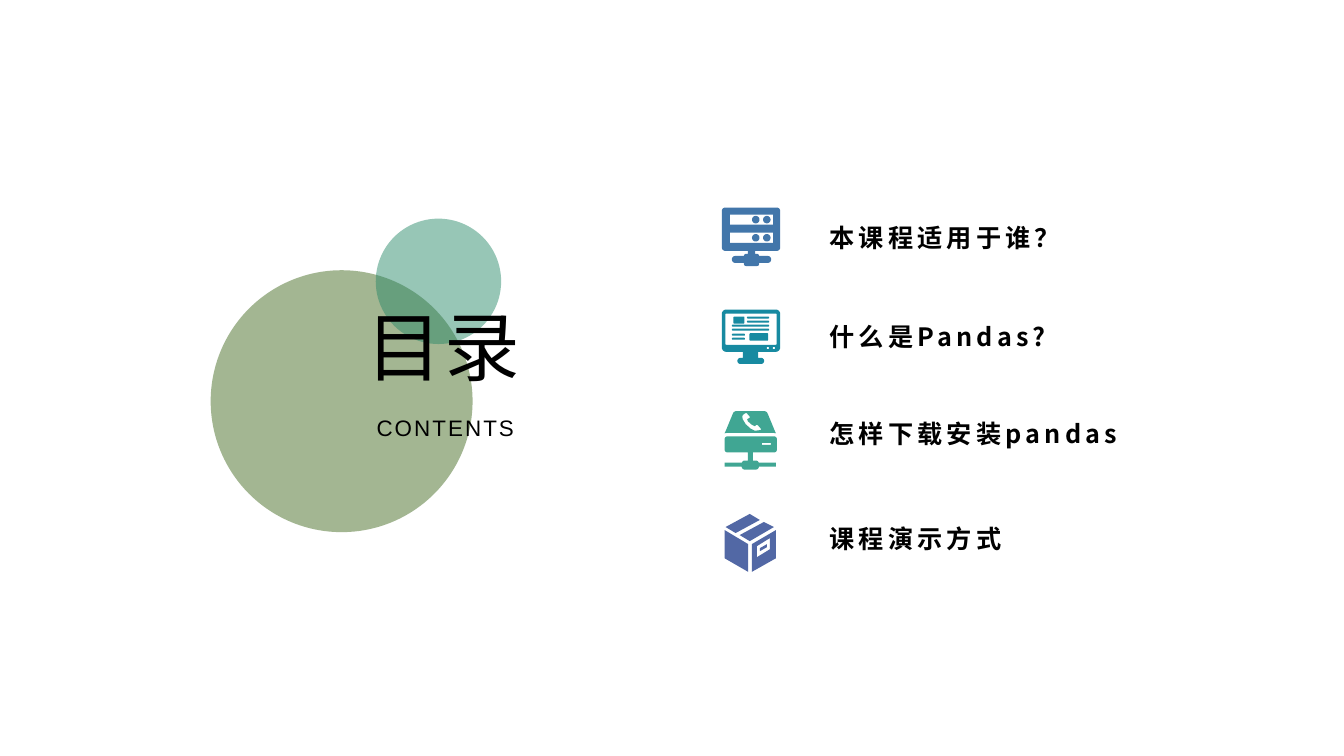
from math import cos, radians, sin

from lxml import etree
from pptx import Presentation
from pptx.dml.color import RGBColor
from pptx.enum.shapes import MSO_SHAPE
from pptx.enum.text import MSO_ANCHOR, MSO_AUTO_SIZE, PP_ALIGN
from pptx.oxml.ns import qn
from pptx.util import Cm, Pt

OVAL = MSO_SHAPE.OVAL
TOP, BOTTOM = MSO_ANCHOR.TOP, MSO_ANCHOR.BOTTOM
LEFT, CENTER = PP_ALIGN.LEFT, PP_ALIGN.CENTER
NO_FIT = MSO_AUTO_SIZE.NONE
BODY_FONT = "Noto Sans CJK SC"
UNIT = Cm(0.0254)


def write(box, text, font, size, spacing, bold, align, anchor):
    frame = box.text_frame
    frame.word_wrap = True
    frame.auto_size = NO_FIT
    frame.vertical_anchor = anchor
    para = frame.paragraphs[0]
    para.alignment = align
    span = para.add_run()
    span.text = text
    span.font.name = font
    span.font.size = Pt(size)
    span.font.bold = bold
    span.font.color.rgb = RGBColor.from_string("000000")
    properties = span._r.get_or_add_rPr()
    properties.set("spc", str(spacing))
    etree.SubElement(properties, qn("a:ea")).set("typeface", font)
    return para


def rounded(left, top, right, bottom, left_radius=0, right_radius=None):
    if right_radius is None:
        right_radius = left_radius
    corners = [
        (right - right_radius, bottom - right_radius, right_radius, 0),
        (left + left_radius, bottom - left_radius, left_radius, 90),
        (left + left_radius, top + left_radius, left_radius, 180),
        (right - right_radius, top + right_radius, right_radius, 270),
    ]
    return [
        (x + radius * cos(radians(start + turn)), y + radius * sin(radians(start + turn)))
        for x, y, radius, start in corners
        for turn in (range(0, 91, 15) if radius else [0])
    ]


deck = Presentation()
deck.slide_width, deck.slide_height = Cm(33.87), Cm(19.05)
page = deck.slides.add_slide(deck.slide_layouts[5])

title = page.shapes.title
title.left, title.top, title.width, title.height = Cm(8.51), Cm(7.44), Cm(5.31), Cm(2.57)
write(title, "目录", "Arial", 54, 150, False, CENTER, TOP)

circles = [(5.31, 6.81, 6.6, "50742F", 52), (9.47, 5.51, 3.16, "268868", 48)]
for left, top, size, color, opacity in circles:
    circle = page.shapes.add_shape(OVAL, Cm(left), Cm(top), Cm(size), Cm(size))
    circle.shadow.inherit = False
    circle.line.fill.background()
    circle.fill.solid()
    circle.fill.fore_color.rgb = RGBColor.from_string(color)
    shade = circle.element.spPr.find(".//" + qn("a:srgbClr"))
    etree.SubElement(shade, qn("a:alpha")).set("val", str(opacity * 1000))
    title.element.addprevious(circle.element)

subtitle = page.shapes.add_textbox(Cm(8.48), Cm(10.31), Cm(5.49), Cm(0.94))
write(subtitle, "CONTENTS", "Arial", 16, 150, False, CENTER, TOP)

topics = [
    (5.23, "本课程适用于谁？"),
    (7.72, "什么是Pandas?"),
    (10.16, "怎样下载安装pandas"),
    (12.8, "课程演示方式"),
]
for top, text in topics:
    label = page.shapes.add_textbox(Cm(20.65), Cm(top), Cm(8.2), Cm(1.14))
    label.text_frame.margin_bottom = 0
    para = write(label, text, BODY_FONT, 18, 300, True, LEFT, BOTTOM)
    para.line_spacing = 1.2

server = [
    rounded(0, 0, 58, 43, 3.5),
    rounded(26, 43, 33, 46),
    rounded(22, 46, 37, 58, 2),
    rounded(10, 48, 22, 55, 3.5, 0),
    rounded(37, 48, 49, 55, 0, 3.5),
]
for bay_top in (7, 25):
    server.append(rounded(8, bay_top, 51, bay_top + 10))
    for lamp_left in (30, 41):
        server.append(rounded(lamp_left, bay_top + 1.3, lamp_left + 7.4, bay_top + 8.7, 3.7))

monitor = [
    rounded(0, 0, 58, 42, 4.5),
    rounded(3.5, 4, 54.5, 35, 1),
    rounded(21, 42, 36, 48),
    rounded(15.5, 48, 42, 54, 3),
    rounded(11.5, 7, 22.5, 14, 1),
    rounded(27.5, 23.5, 46, 31, 1),
]
for dot_left in (44.5, 50.5):
    monitor.append(rounded(dot_left, 37, dot_left + 2.4, 39.4, 1.2))
text_lines = [(25, 47, 7), (25, 47, 11), (10, 47, 15), (10, 47, 19), (10, 23, 24), (10, 23, 28)]
for line_left, line_right, line_top in text_lines:
    monitor.append(rounded(line_left, line_top, line_right, line_top + 2, 1))

drive = [
    [(11, 0), (40, 0), (42, 1), (43, 3), (50, 20), (51, 22), (48, 21.5),
     (3, 21.5), (0, 22), (1, 20), (8, 3), (9, 1)],
    [(21, 2), (19, 3), (17.5, 5), (18, 8), (21, 13), (26, 17.5), (30, 19.5), (34, 19),
     (36, 18.5), (36.5, 18), (33, 14), (31.5, 13.5), (30, 15), (27, 13.5), (23, 10),
     (22.5, 8), (25, 6.5), (25, 5.5), (22, 2)],
    rounded(0, 25, 52, 41, 3),
    rounded(37, 31.5, 46, 33.5),
    rounded(23, 41, 28, 49),
    rounded(17, 49, 34, 58, 3),
    rounded(0, 51, 17, 55),
    rounded(34, 51, 51, 55),
]

parcel = [
    [(42, 30), (42, 33), (35, 37), (35, 34)],
    [(45, 24), (32, 32), (32, 43), (45, 35)],
    [(51, 16), (51, 44), (27, 57.5), (27, 30)],
    [(0, 16), (23.5, 30), (23.5, 57.5), (0, 44)],
    [(39, 8), (49, 13), (25, 27), (15, 21)],
    [(25, 0), (35, 6), (11, 19), (1, 13)],
]

icons = [
    (18.19, 5.23, "4276AA", server),
    (18.19, 7.8, "178AA1", monitor),
    (18.26, 10.36, "40A693", drive),
    (18.26, 12.95, "5268A5", parcel),
]
for left, top, color, outlines in icons:
    builder = None
    for outline in outlines:
        points = [(x * UNIT, y * UNIT) for x, y in outline]
        if builder is None:
            builder = page.shapes.build_freeform(*points[0], scale=1.0)
        else:
            builder.move_to(*points[0])
        builder.add_line_segments(points[1:], close=True)
    icon = builder.convert_to_shape(Cm(left), Cm(top))
    icon.shadow.inherit = False
    icon.line.fill.background()
    icon.fill.solid()
    icon.fill.fore_color.rgb = RGBColor.from_string(color)

deck.save("out.pptx")
